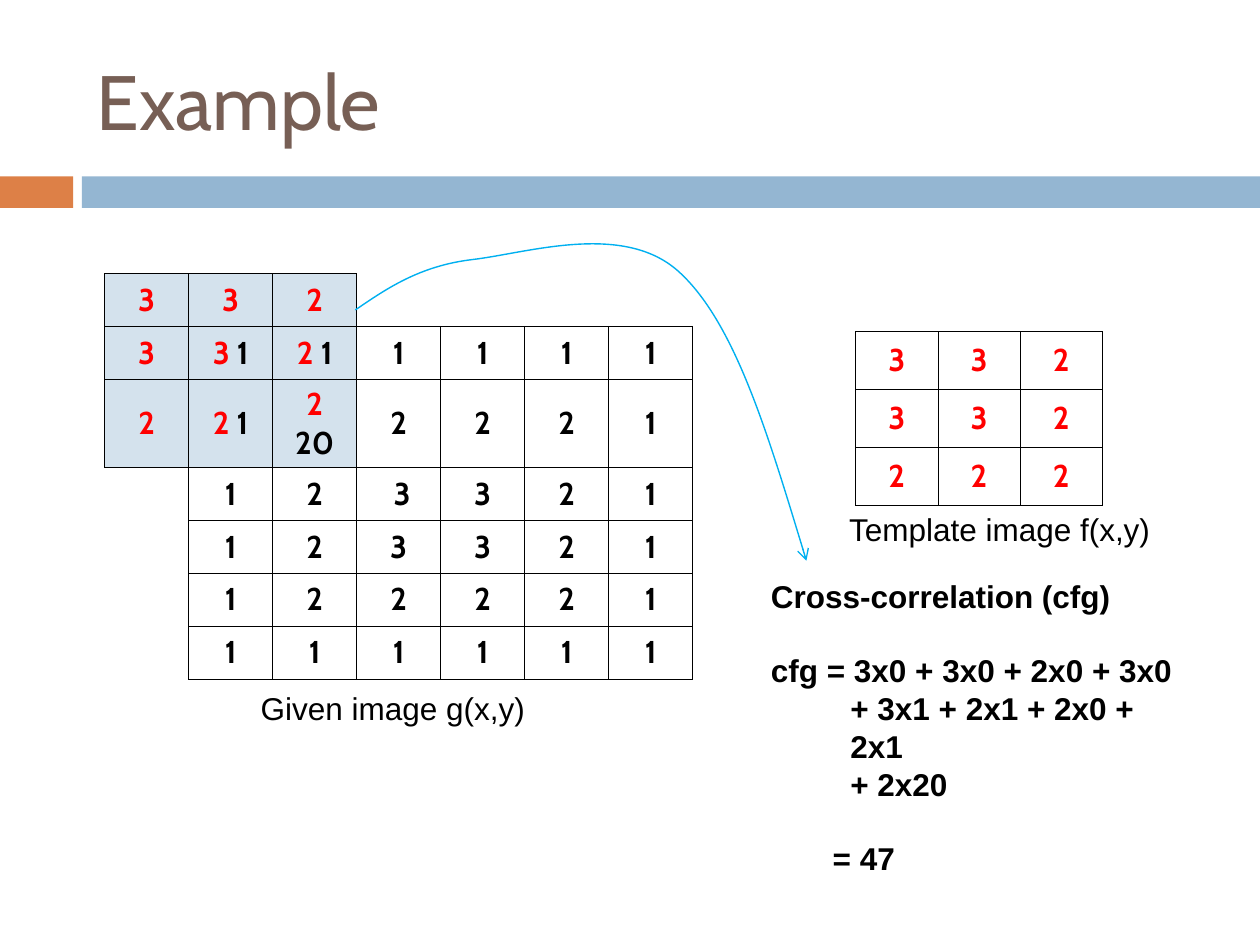
import pptx
import pptx.util
import pptx.dml.color
import pptx.enum.shapes
import pptx.enum.text
import pptx.oxml
import pptx.oxml.ns
import lxml.etree

Inches, Pt = pptx.util.Inches, pptx.util.Pt
qn = pptx.oxml.ns.qn
NO_STYLE = "{2D5ABB26-0587-4C30-8999-92F81FD0307C}"
RED, BLACK = "FF0000", "000000"


def color(hex_value):
    return pptx.dml.color.RGBColor.from_string(hex_value)


def add_border(cell, sides):
    for side in sides:
        cell._tc.get_or_add_tcPr().append(pptx.oxml.parse_xml(
            f'<a:ln{side} xmlns:a="http://schemas.openxmlformats.org/drawingml/2006/main" w="5715">'
            f'<a:solidFill><a:srgbClr val="{BLACK}"/></a:solidFill></a:ln{side}>'))


prs = pptx.Presentation()
prs.slide_width, prs.slide_height = Inches(10), Inches(7.5)
slide = prs.slides.add_slide(prs.slide_layouts[6])
shapes = slide.shapes

# Band under the title
for left, width, band_color in [(0, 0.58, "DD8047"), (0.65, 9.35, "94B6D2")]:
    band = shapes.add_shape(pptx.enum.shapes.MSO_SHAPE.RECTANGLE,
                            Inches(left), Inches(1.4), Inches(width), Inches(0.25))
    band.shadow.inherit = False
    band.fill.solid()
    band.fill.fore_color.rgb = color(band_color)
    band.line.fill.background()

# Title
title = shapes.add_textbox(Inches(0.67), Inches(0.25), Inches(8.92), Inches(1.08)).text_frame
title.word_wrap = True
title.vertical_anchor = pptx.enum.text.MSO_ANCHOR.MIDDLE
title.text = "Example"
title_font = title.paragraphs[0].font
title_font.name, title_font.size = "Cabin", Pt(44)
title_font.color.rgb = color("775F55")

# Grids: (pixel rows, left, top, width, row heights, size of the red template window)
given_rows = [
    ["3", "3", "2", "", "", "", ""],
    ["3", "3 1", "2 1", "1", "1", "1", "1"],
    ["2", "2 1", "2 20", "2", "2", "2", "1"],
    ["", "1", "2", " 3", "3", "2", "1"],
    ["", "1", "2", "3", "3", "2", "1"],
    ["", "1", "2", "2", "2", "2", "1"],
    ["", "1", "1", "1", "1", "1", "1"],
]
template_rows = [["3", "3", "2"], ["3", "3", "2"], ["2", "2", "2"]]
grids = [
    (given_rows, 0.83, 2.17, 4.67, [0.42, 0.42, 0.7] + [0.42] * 4, True),
    (template_rows, 6.79, 2.63, 1.96, [0.46] * 3, False),
]
for rows, left, top, width, heights, shaded in grids:
    grid = shapes.add_table(len(rows), len(rows[0]), Inches(left), Inches(top),
                            Inches(width), Inches(sum(heights))).table
    grid.first_row = grid.horz_banding = False
    grid._tbl.tblPr.find(qn("a:tableStyleId")).text = NO_STYLE
    for row, height in zip(grid.rows, heights):
        row.height = Inches(height)
    for r, row in enumerate(rows):
        for c, value in enumerate(row):
            cell = grid.cell(r, c)
            in_window = r < 3 and c < 3
            if value:
                add_border(cell, "LRTB")
            if in_window and shaded:
                cell.fill.solid()
                cell.fill.fore_color.rgb = color("D4E2ED")
            else:
                cell.fill.background()
            if not value:
                continue
            cell.vertical_anchor = pptx.enum.text.MSO_ANCHOR.MIDDLE
            pixel = cell.text_frame.paragraphs[0]
            pixel.alignment = pptx.enum.text.PP_ALIGN.CENTER
            pixel.font.name, pixel.font.size, pixel.font.bold = "Cabin", Pt(18), True
            # In the window the template value is red, the value under it black
            if in_window:
                template_value, gap, given_value = value.partition(" ")
                parts = [(template_value + gap, RED), (given_value, BLACK)]
            else:
                parts = [(value, BLACK)]
            for text, text_color in parts:
                if text:
                    run = pixel.add_run()
                    run.text = text
                    run.font.color.rgb = color(text_color)
    if shaded:
        # Empty corners beside and below the window
        for first, last, sides in [((0, 3), (0, 6), "LB"), ((3, 0), (6, 0), "RT")]:
            grid.cell(*first).merge(grid.cell(*last))
            add_border(grid.cell(*first), sides)
            # Borders come before the fill in the cell properties
            properties = grid.cell(*first)._tc.tcPr
            properties.append(properties.find(qn("a:noFill")))

# Curved arrow from the window to the result: start, then three points per Bezier segment
curve_points = [(2.82, 2.46), (3.07, 2.29), (3.33, 2.11), (3.75, 2.06), (4.18, 2.01),
                (4.94, 1.76), (5.38, 2.15), (5.83, 2.55), (6.11, 3.5), (6.4, 4.45)]
points = [(Inches(x), Inches(y)) for x, y in curve_points]
builder = shapes.build_freeform(*points[0])
builder.add_line_segments(points[1:], close=False)
arrow = builder.convert_to_shape()
arrow.shadow.inherit = False
arrow.fill.background()
arrow.line.color.rgb = color("00B0F0")
arrow.line.width = Pt(0.79)
lxml.etree.SubElement(arrow.line._get_or_add_ln(), qn("a:tailEnd"), type="arrow")
segments = list(arrow._element.iter(qn("a:lnTo")))
curve = segments[0].getparent()
for i in range(0, len(segments), 3):
    bezier = lxml.etree.SubElement(curve, qn("a:cubicBezTo"))
    for segment in segments[i:i + 3]:
        bezier.append(segment[0])
        curve.remove(segment)

# Captions and calculation: lines are (text, indent in inches, space before in points)
calculation = [
    ("Cross-correlation (cfg)", 0, 0),
    ("cfg = 3x0 + 3x0 + 2x0 + 3x0", 0, 21),
    ("+ 3x1 + 2x1 + 2x0 + 2x1", 0.63, 0),
    ("+ 2x20", 0.63, 0),
    ("= 47", 0.49, 21),
]
notes = [
    (6.02, 4.53, 3.56, 2.2, True, calculation),
    (1.97, 5.42, 2.3, 0.4, False, [("Given image g(x,y)", 0, 0)]),
    (6.64, 4, 2.61, 0.4, False, [("Template image f(x,y)", 0, 0)]),
]
for left, top, width, height, bold, lines in notes:
    note = shapes.add_textbox(Inches(left), Inches(top), Inches(width), Inches(height)).text_frame
    note.word_wrap = False
    for i, (text, indent, space) in enumerate(lines):
        line = note.add_paragraph() if i else note.paragraphs[0]
        line.text = text
        if indent:
            line._p.get_or_add_pPr().set("marL", str(Inches(indent)))
        if space:
            line.space_before = Pt(space)
        line.font.name, line.font.size, line.font.bold = "Arial", Pt(18), bold
        line.font.color.rgb = color(BLACK)

prs.save("out.pptx")
